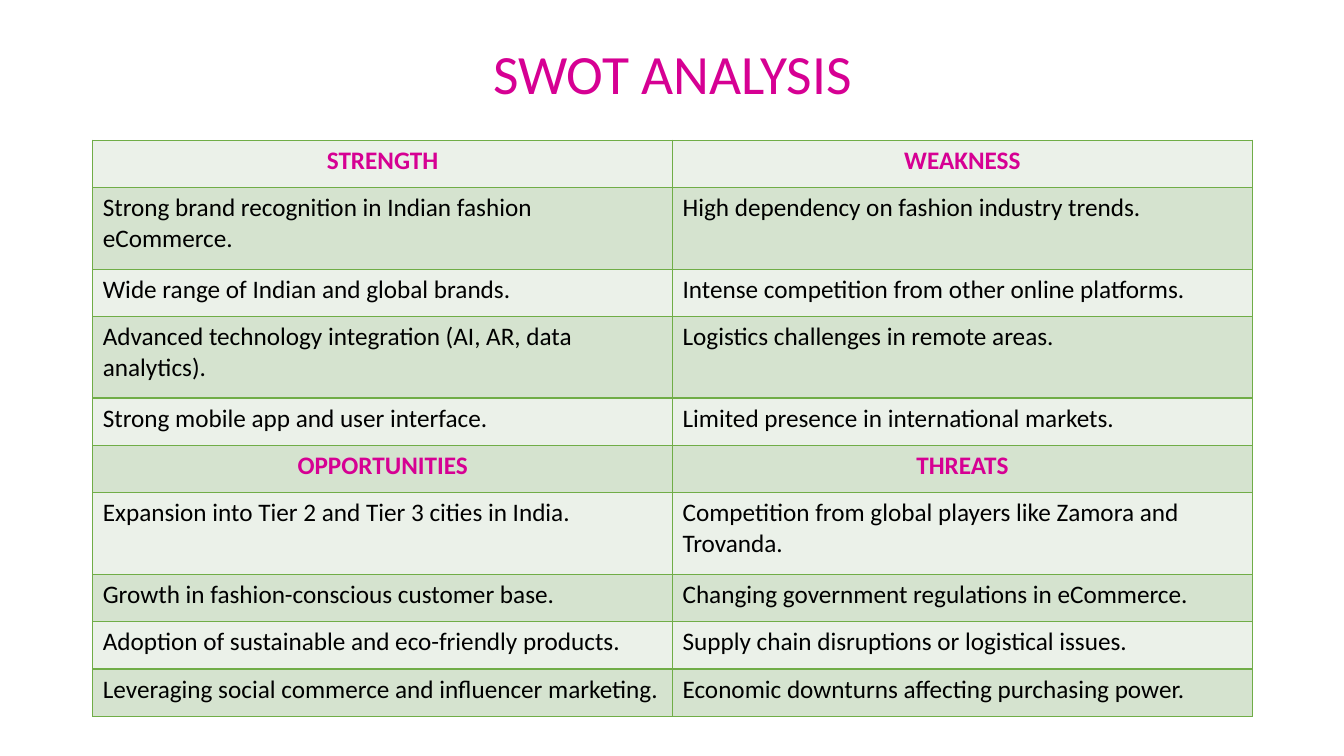
from dataclasses import dataclass

from lxml import etree
from pptx import Presentation
from pptx import util as u
from pptx.dml.color import RGBColor
from pptx.enum import text
from pptx.oxml import ns

EMU_PER_PX = 9144  # 100 px to the inch
TITLE_ONLY = 5


@dataclass(frozen=True)
class Theme:
    font: str = "Calibri"
    accent: str = "D60093"
    body: str = "000000"
    border: str = "70AD47"
    bands: tuple = ("EBF1E9", "D5E3CF")
    title_size: float = 39.6
    table_size: float = 18
    border_width: float = 1


SWOT_ROWS = [
    ("STRENGTH", "WEAKNESS"),
    ("Strong brand recognition in Indian fashion eCommerce.",
     "High dependency on fashion industry trends."),
    ("Wide range of Indian and global brands.",
     "Intense competition from other online platforms."),
    ("Advanced technology integration (AI, AR, data analytics).",
     "Logistics challenges in remote areas."),
    ("Strong mobile app and user interface.",
     "Limited presence in international markets."),
    ("OPPORTUNITIES", "THREATS"),
    ("Expansion into Tier 2 and Tier 3 cities in India.",
     "Competition from global players like Zamora and Trovanda."),
    ("Growth in fashion-conscious customer base.",
     "Changing government regulations in eCommerce."),
    ("Adoption of sustainable and eco-friendly products.",
     "Supply chain disruptions or logistical issues."),
    ("Leveraging social commerce and influencer marketing.",
     "Economic downturns affecting purchasing power."),
]
HEADING_ROWS = {0, 5}
TWO_LINE_ROWS = {1, 3, 6}
ROW_HEIGHT, TWO_LINE_HEIGHT = 47, 81


def px(length):
    return u.Emu(length * EMU_PER_PX)


class SlideBuilder:
    def __init__(self, presentation, theme):
        self.theme = theme
        layout = presentation.slide_layouts[TITLE_ONLY]
        self.slide = presentation.slides.add_slide(layout)

    def set_text(self, frame, wording, size, color, bold=False, **paragraph_format):
        frame.text = wording
        paragraph = frame.paragraphs[0]
        for name, value in paragraph_format.items():
            setattr(paragraph, name, value)
        font = paragraph.runs[0].font
        font_format = {"name": self.theme.font, "size": u.Pt(size), "bold": bold}
        for name, value in font_format.items():
            setattr(font, name, value)
        font.color.rgb = RGBColor.from_string(color)

    def title(self, wording, left, top, width, height):
        shape = self.slide.shapes.title
        place = {"left": left, "top": top, "width": width, "height": height}
        for name, value in place.items():
            setattr(shape, name, px(value))
        frame = shape.text_frame
        frame_format = {
            "word_wrap": True,
            "auto_size": text.MSO_AUTO_SIZE.NONE,
            "vertical_anchor": text.MSO_ANCHOR.MIDDLE,
        }
        for name, value in frame_format.items():
            setattr(frame, name, value)
        self.set_text(frame, wording, self.theme.title_size, self.theme.accent,
                      alignment=text.PP_ALIGN.CENTER, line_spacing=0.9)

    def cell_borders(self, cell):
        properties = cell._tc.get_or_add_tcPr()
        for side in ("a:lnL", "a:lnR", "a:lnT", "a:lnB"):
            line = etree.SubElement(properties, ns.qn(side),
                                    w=str(u.Pt(self.theme.border_width)))
            fill = etree.SubElement(line, ns.qn("a:solidFill"))
            etree.SubElement(fill, ns.qn("a:srgbClr"), val=self.theme.border)

    def cell(self, cell, wording, band, heading):
        self.cell_borders(cell)
        cell.fill.solid()
        cell.fill.fore_color.rgb = RGBColor.from_string(band)
        color = self.theme.accent if heading else self.theme.body
        alignment = text.PP_ALIGN.CENTER if heading else text.PP_ALIGN.LEFT
        self.set_text(cell.text_frame, wording, self.theme.table_size, color,
                      bold=heading, alignment=alignment)

    def table(self, rows, heights, left, top, width):
        column_count = len(rows[0])
        table = self.slide.shapes.add_table(
            len(rows), column_count,
            px(left), px(top), px(width), px(sum(heights))).table
        table.first_row = table.horz_banding = False
        for column in table.columns:
            column.width = px(width // column_count)
        for index, (wordings, height) in enumerate(zip(rows, heights)):
            table.rows[index].height = px(height)
            band = self.theme.bands[index % 2]
            for column, wording in enumerate(wordings):
                self.cell(table.cell(index, column), wording, band,
                          index in HEADING_ROWS)


def main():
    presentation = Presentation()
    presentation.slide_width, presentation.slide_height = px(1333), px(750)
    builder = SlideBuilder(presentation, Theme())
    builder.title("SWOT ANALYSIS", 92, 40, 1150, 72)
    heights = [TWO_LINE_HEIGHT if index in TWO_LINE_ROWS else ROW_HEIGHT
               for index in range(len(SWOT_ROWS))]
    builder.table(SWOT_ROWS, heights, 92, 139, 1150)
    presentation.save("out.pptx")


if __name__ == "__main__":
    main()
